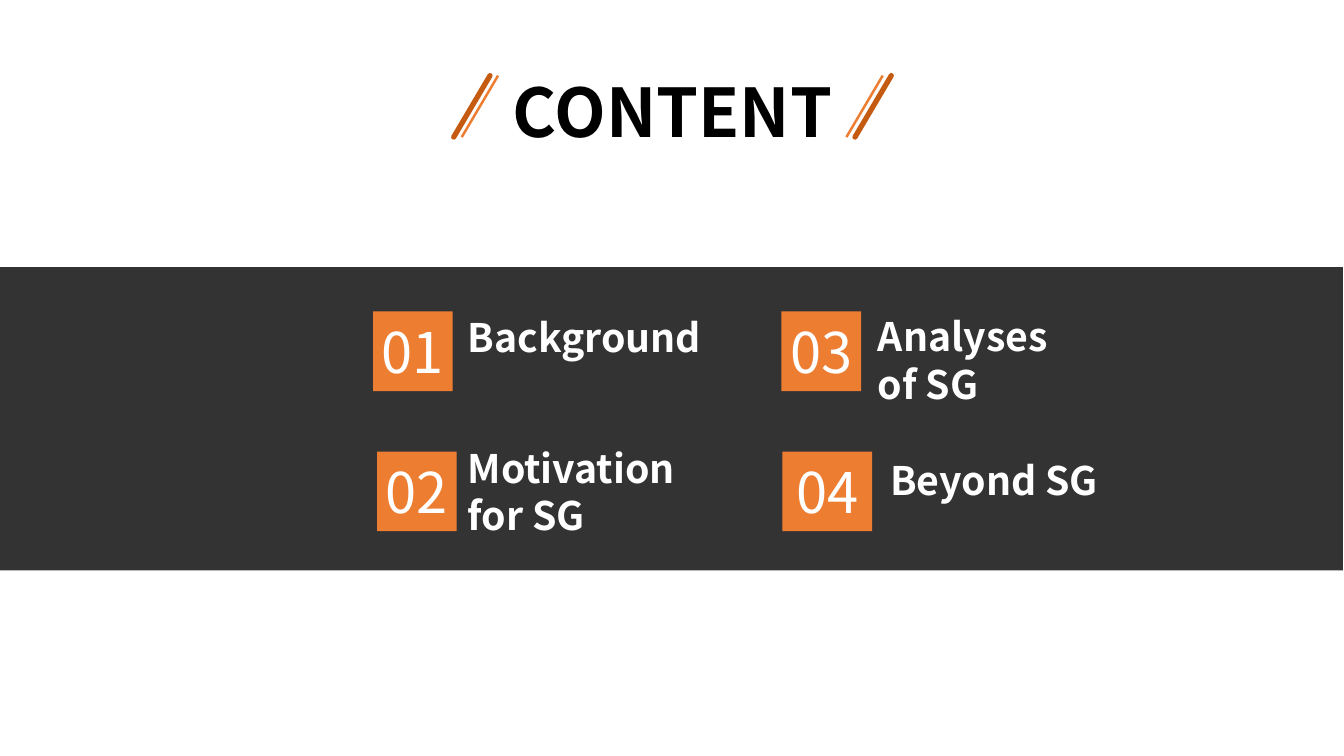
"""Build the contents slide: a slashed title above a dark band of four numbered topics."""
from lxml import etree
from pptx import Presentation
from pptx import util as u
from pptx.dml.color import RGBColor
from pptx.enum import shapes, text
from pptx.oxml import ns

COLOURS = {"ink": "000000", "paper": "FFFFFF", "orange": "ED7D31", "rust": "C55A11"}
FONT = "Noto Sans CJK SC"

deck = Presentation()
deck.slide_width, deck.slide_height = u.Inches(13.33), u.Inches(7.5)
slide = deck.slides.add_slide(deck.slide_layouts[6])
cell = deck.slide_height / 90


def grid(*cells):
    return [u.Emu(round(count * cell)) for count in cells]


def write(words, place, size, colour="paper", bold=False, align=text.PP_ALIGN.LEFT,
          anchor=text.MSO_ANCHOR.MIDDLE, wrap=True):
    frame = slide.shapes.add_textbox(*grid(*place)).text_frame
    frame.word_wrap = wrap
    frame.vertical_anchor = anchor
    paragraph = frame.paragraphs[0]
    paragraph.alignment = align
    run = paragraph.add_run()
    run.text = words
    run.font.name, run.font.size, run.font.bold = FONT, u.Pt(size), bold
    run.font.color.rgb = RGBColor.from_string(COLOURS[colour])
    fonts = run.font.fill._xPr
    etree.SubElement(fonts, ns.qn("a:ea"), typeface=FONT)


topics = [
    ("01", "Background", (44.4, 37.08, 9.48, 9.48), 11.4, (54.48, 33.84, 31.2, 12.48)),
    ("02", "Motivation for SG", (44.88, 53.76, 9.48, 9.48), 10.5, (54.48, 52.2, 31.92, 12.48)),
    ("03", "Analyses of SG", (93, 37.08, 9.48, 9.48), 10.5, (103.32, 36.6, 25.2, 12.48)),
    ("04", "Beyond SG", (93.12, 53.76, 10.68, 9.48), 13.2, (104.76, 50.88, 28.44, 12.48)),
]
band = (-0.72, 31.8, 160.56, 36.12)
blocks = [(band, "ink")] + [(tile, "orange") for _, _, tile, _, _ in topics]
for place, colour in blocks:
    block = slide.shapes.add_shape(shapes.MSO_SHAPE.RECTANGLE, *grid(*place))
    block.shadow.inherit = False
    block.fill.solid()
    block.fill.fore_color.rgb = RGBColor.from_string(COLOURS[colour])
    block.line.fill.background()
    if place == band:
        tint = block.fill._xPr.find(".//" + ns.qn("a:srgbClr"))
        etree.SubElement(tint, ns.qn("a:alpha"), val="80000")

write("CONTENT", (58.56, 7.8, 42.96, 10.92), 48, colour="ink", bold=True,
      align=text.PP_ALIGN.CENTER, anchor=text.MSO_ANCHOR.TOP, wrap=False)

slash_top, slash_foot, slash_run = 9, 16.32, 4.32
for foot, colour, weight in [(54.96, "orange", 1.75), (100.74, "orange", 1.75),
                             (101.76, "rust", 3.75), (54, "rust", 3.75)]:
    slash = slide.shapes.add_connector(
        shapes.MSO_CONNECTOR.STRAIGHT,
        *grid(foot + slash_run, slash_top, foot, slash_foot))
    slash.line.color.rgb = RGBColor.from_string(COLOURS[colour])
    slash.line.width = u.Pt(weight)
    if colour == "rust":
        slash.line._get_or_add_ln().set("cap", "rnd")
    etree.SubElement(slash._element.spPr, ns.qn("a:effectLst"))

for number, heading, (left, top, width, height), number_width, heading_place in topics:
    number_left = left + (width - number_width) / 2
    write(number, (number_left, top, number_width, height), 40, align=text.PP_ALIGN.CENTER)
    write(heading, heading_place, 28, bold=True)

deck.save("out.pptx")
